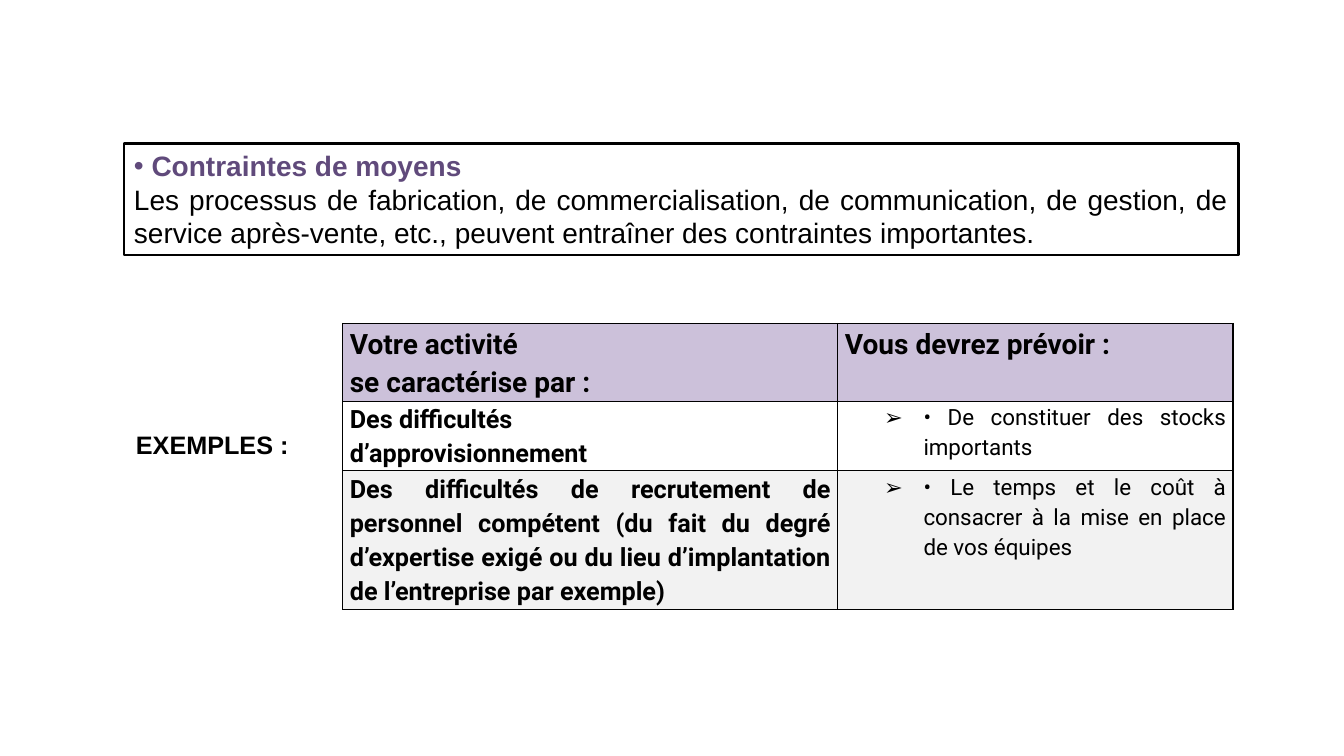
"""Build the slide on constraints of means, with its table of examples."""
from lxml import etree
from pptx import Presentation
from pptx.dml.color import RGBColor
from pptx.enum.shapes import MSO_SHAPE
from pptx.enum.text import MSO_ANCHOR, MSO_AUTO_SIZE, PP_ALIGN
from pptx.oxml.ns import qn
from pptx.util import Inches, Pt

LEFT, JUST = PP_ALIGN.LEFT, PP_ALIGN.JUSTIFY
RECT = MSO_SHAPE.RECTANGLE
TOP, MID = MSO_ANCHOR.TOP, MSO_ANCHOR.MIDDLE
GROW = MSO_AUTO_SIZE.SHAPE_TO_FIT_TEXT

HUES = {"ink": "000000", "plum": "604A7B", "lilac": "CCC1DA",
        "grey": "F2F2F2", "white": "FFFFFF"}

STYLES = {
    "title": {"name": "Arial", "size": 20, "bold": True, "hue": "plum", "align": JUST, "mark": "•"},
    "body": {"name": "Arial", "size": 20, "bold": False, "align": JUST},
    "label": {"name": "Arial", "size": 18, "bold": True, "align": JUST},
    "head": {"name": "Roboto", "size": 20, "bold": True, "space": 1.15},
    "case": {"name": "Roboto", "size": 18, "bold": True, "space": 1.15},
    "wide": {"name": "Roboto", "size": 18, "bold": True, "space": 1.15, "align": JUST},
    "plan": {"name": "Roboto", "size": 16, "bold": False, "space": 1.15, "align": JUST,
             "mark": "➢", "indent": 0.78, "hang": 0.39},
}

INTRO = [
    ("title", " Contraintes de moyens"),
    ("body", "Les processus de fabrication, de commercialisation, de communication, "
             "de gestion, de service après-vente, etc., peuvent entraîner des "
             "contraintes importantes."),
]
LABEL = [("label", "EXEMPLES : ")]
ROWS = [
    ("lilac", 0.77,
     [("head", "Votre activité"), ("head", "se caractérise par :")],
     [("head", "Vous devrez prévoir :")]),
    (None, 0.69,
     [("case", "Des difficultés"), ("case", "d’approvisionnement")],
     [("plan", "• De constituer des stocks importants")]),
    ("grey", 1.38,
     [("wide", "Des difficultés de recrutement de personnel compétent (du fait du "
               "degré d’expertise exigé ou du lieu d’implantation de l’entreprise "
               "par exemple)")],
     [("plan", "• Le temps et le coût à consacrer à la mise en place de vos équipes")]),
]
COLS = (4.91, 3.92)
INTRO_AT = (1.23, 1.42, 11.05, 1.11)
LABEL_AT = (1.25, 4.21, 1.8, 0.4)
TABLE_AT = (3.4, 3.21)


def rgb(key):
    return RGBColor.from_string(HUES[key])


def add_mark(para, style):
    props = para._p.get_or_add_pPr()
    left = Inches(style.get("indent", 0))
    props.set("marL", str(left))
    props.set("indent", str(-Inches(style.get("hang", 0))))
    etree.SubElement(props, qn("a:buFont"), typeface="Arial")
    etree.SubElement(props, qn("a:buChar"), char=style["mark"])
    if left:
        tabs = etree.SubElement(props, qn("a:tabLst"))
        etree.SubElement(tabs, qn("a:tab"), pos=str(left), algn="l")


def write(frame, lines):
    for i, (kind, text) in enumerate(lines):
        style = STYLES[kind]
        para = frame.add_paragraph() if i else frame.paragraphs[0]
        if "mark" in style:
            add_mark(para, style)
        para.alignment = style.get("align", LEFT)
        para.line_spacing = style.get("space", 1.0)
        run = para.add_run()
        run.text = text
        looks = {"name": style["name"], "size": Pt(style["size"]), "bold": style["bold"]}
        for key, value in looks.items():
            setattr(run.font, key, value)
        run.font.color.rgb = rgb(style.get("hue", "ink"))


def set_frame(frame, **values):
    for key, value in values.items():
        setattr(frame, key, value)


def add_edges(cell):
    props = cell._tc.get_or_add_tcPr()
    for side in ("lnL", "lnR", "lnT", "lnB"):
        line = etree.SubElement(props, qn("a:" + side), w=str(Pt(1)))
        fill = etree.SubElement(line, qn("a:solidFill"))
        etree.SubElement(fill, qn("a:srgbClr"), val=HUES["ink"])


def add_intro(slide):
    box = slide.shapes.add_shape(RECT, *map(Inches, INTRO_AT))
    box.shadow.inherit = False
    box.fill.solid()
    box.fill.fore_color.rgb = rgb("white")
    box.line.color.rgb = rgb("ink")
    box.line.width = Pt(2)
    set_frame(box.text_frame, word_wrap=True, auto_size=GROW, vertical_anchor=MID)
    write(box.text_frame, INTRO)


def add_label(slide):
    box = slide.shapes.add_textbox(*map(Inches, LABEL_AT))
    set_frame(box.text_frame, word_wrap=False, auto_size=GROW)
    write(box.text_frame, LABEL)


def add_grid(slide):
    size = sum(COLS), sum(row[1] for row in ROWS)
    grid = slide.shapes.add_table(len(ROWS), len(COLS), *map(Inches, TABLE_AT + size)).table
    grid.first_row = grid.horz_banding = False
    for col, width in zip(grid.columns, COLS):
        col.width = Inches(width)
    pads = {"margin_left": Inches(0.07), "margin_right": Inches(0.07),
            "margin_top": 0, "margin_bottom": 0, "vertical_anchor": TOP}
    for r, (hue, height, *cells) in enumerate(ROWS):
        grid.rows[r].height = Inches(height)
        for c, lines in enumerate(cells):
            cell = grid.cell(r, c)
            set_frame(cell, **pads)
            add_edges(cell)
            if hue:
                cell.fill.solid()
                cell.fill.fore_color.rgb = rgb(hue)
            else:
                cell.fill.background()
            write(cell.text_frame, lines)


def main():
    deck = Presentation()
    deck.slide_width, deck.slide_height = Inches(13.33), Inches(7.5)
    slide = deck.slides.add_slide(deck.slide_layouts[6])
    add_intro(slide)
    add_grid(slide)
    add_label(slide)
    deck.save("out.pptx")


if __name__ == "__main__":
    main()
